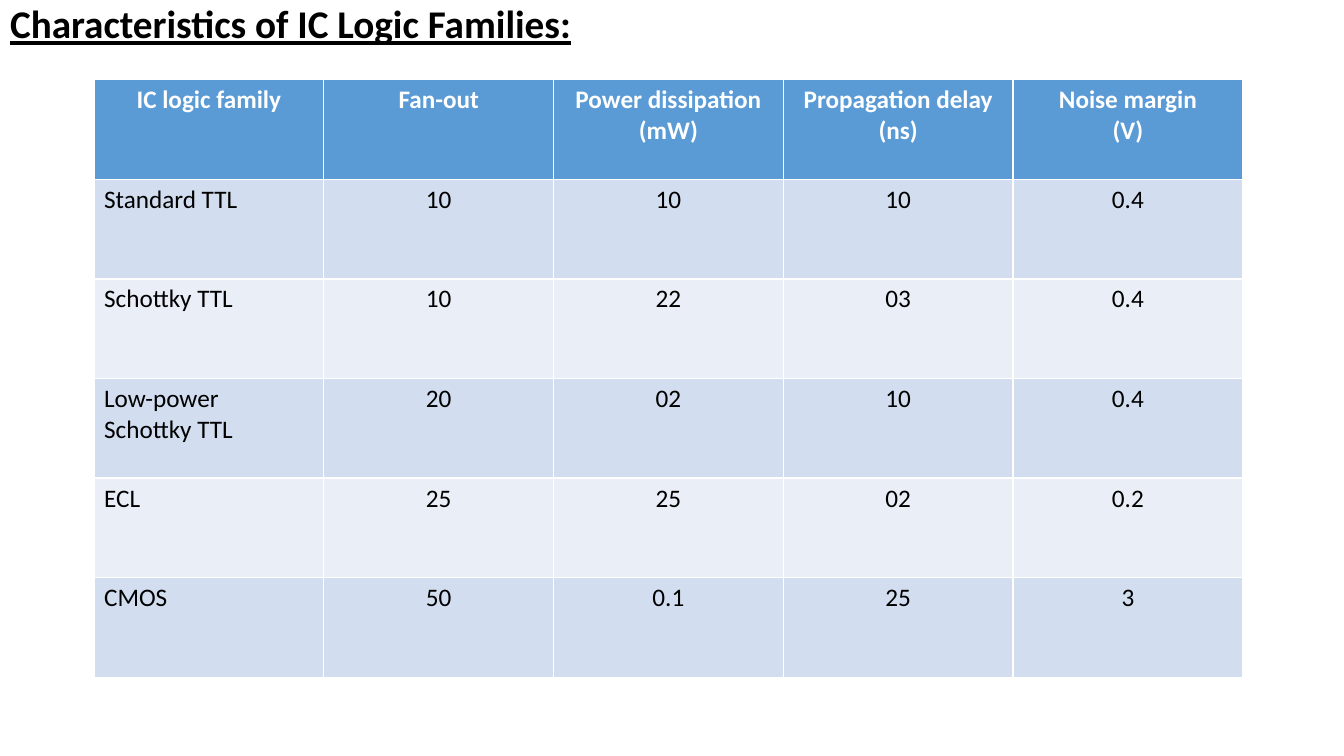
from pptx import Presentation
from pptx.dml.color import RGBColor
from pptx.enum.text import MSO_ANCHOR, PP_ALIGN
from pptx.util import Cm, Pt

LEFT, MID = PP_ALIGN.LEFT, PP_ALIGN.CENTER
TOP = MSO_ANCHOR.TOP

# Content
TITLE = "Characteristics of IC Logic Families:"
ROWS = [
    ("IC logic family", "Fan-out", "Power dissipation\n(mW)",
     "Propagation delay\n(ns)", "Noise margin\n(V)"),
    ("Standard TTL", "10", "10", "10", "0.4"),
    ("Schottky TTL", "10", "22", "03", "0.4"),
    ("Low-power\nSchottky TTL", "20", "02", "10", "0.4"),
    ("ECL", "25", "25", "02", "0.2"),
    ("CMOS", "50", "0.1", "25", "3"),
]
HEAD, BANDS = "5B9BD5", ("EAEFF7", "D2DEEF")
COL_W, ROW_H = Cm(5.79), Cm(2.51)


def color(code):
    return RGBColor.from_string(code)


def write(frame, text, size=18, ink="000000", bold=False, line=False,
          align=LEFT, space=1.0):
    frame.text = text
    for para in frame.paragraphs:
        para.alignment = align
        para.line_spacing = space
        para.space_before = Pt(0)
        for run in para.runs:
            font = run.font
            font.name, font.size = "Calibri", Pt(size)
            font.bold, font.underline = bold, line
            font.color.rgb = color(ink)


def main():
    deck = Presentation()
    deck.slide_width, deck.slide_height = Cm(33.87), Cm(19.05)
    slide = deck.slides.add_slide(deck.slide_layouts[5])

    # Title
    title = slide.shapes.title
    title.left, title.top = Cm(0), Cm(0)
    title.width, title.height = deck.slide_width, Cm(1.5)
    title.text_frame.vertical_anchor = TOP
    write(title.text_frame, TITLE, size=28, bold=True, line=True, space=0.9)

    # Table
    rows, cols = len(ROWS), len(ROWS[0])
    table = slide.shapes.add_table(rows, cols, Cm(2.37), Cm(2.01),
                                   COL_W * cols, ROW_H * rows).table
    for col in table.columns:
        col.width = COL_W
    for r, row in enumerate(ROWS):
        table.rows[r].height = ROW_H
        for c, text in enumerate(row):
            cell = table.cell(r, c)
            top = r == 0
            cell.fill.solid()
            cell.fill.fore_color.rgb = color(HEAD if top else BANDS[r % 2])
            write(cell.text_frame, text, bold=top,
                  ink="FFFFFF" if top else "000000",
                  align=MID if top or c else LEFT)

    deck.save("out.pptx")


if __name__ == "__main__":
    main()
